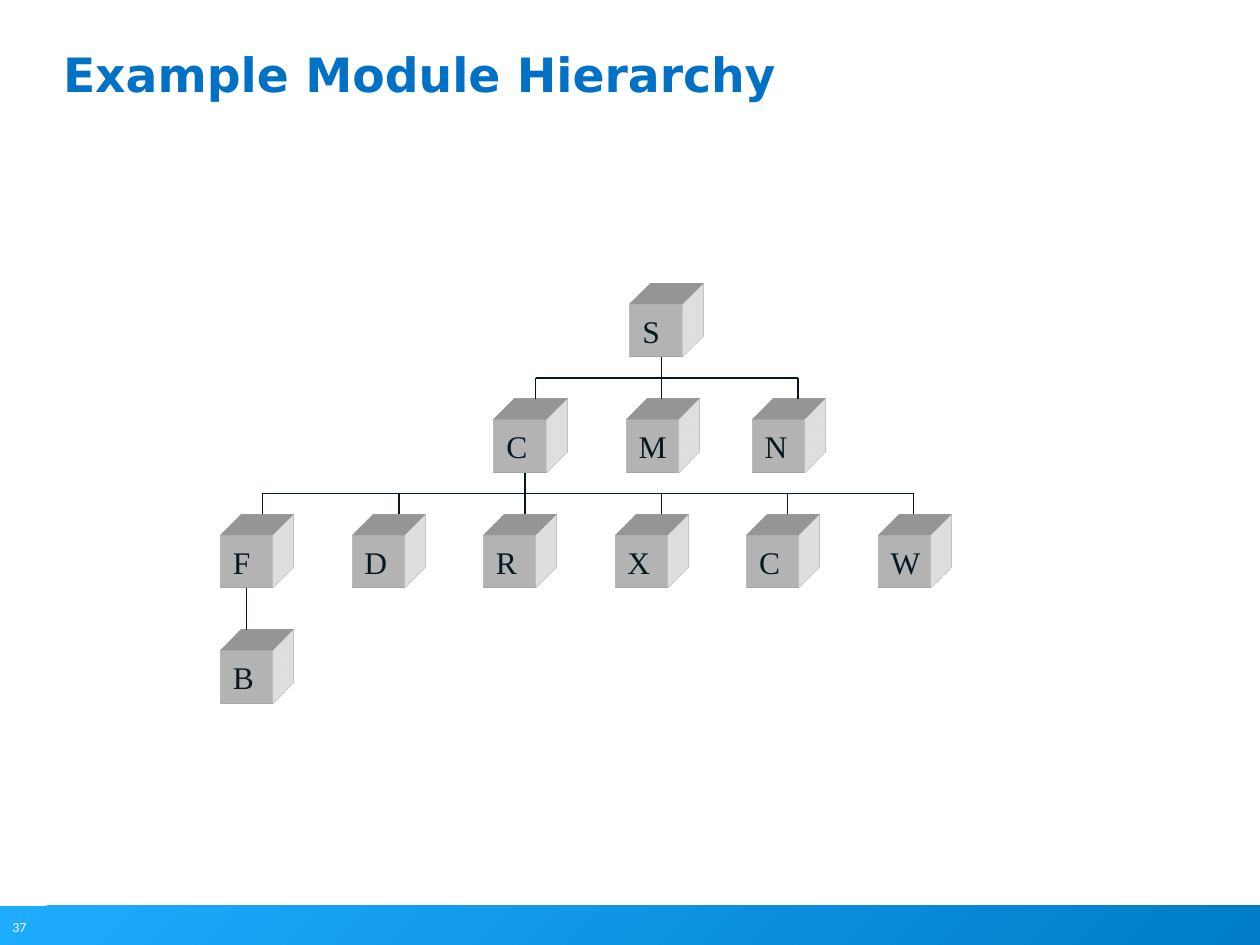
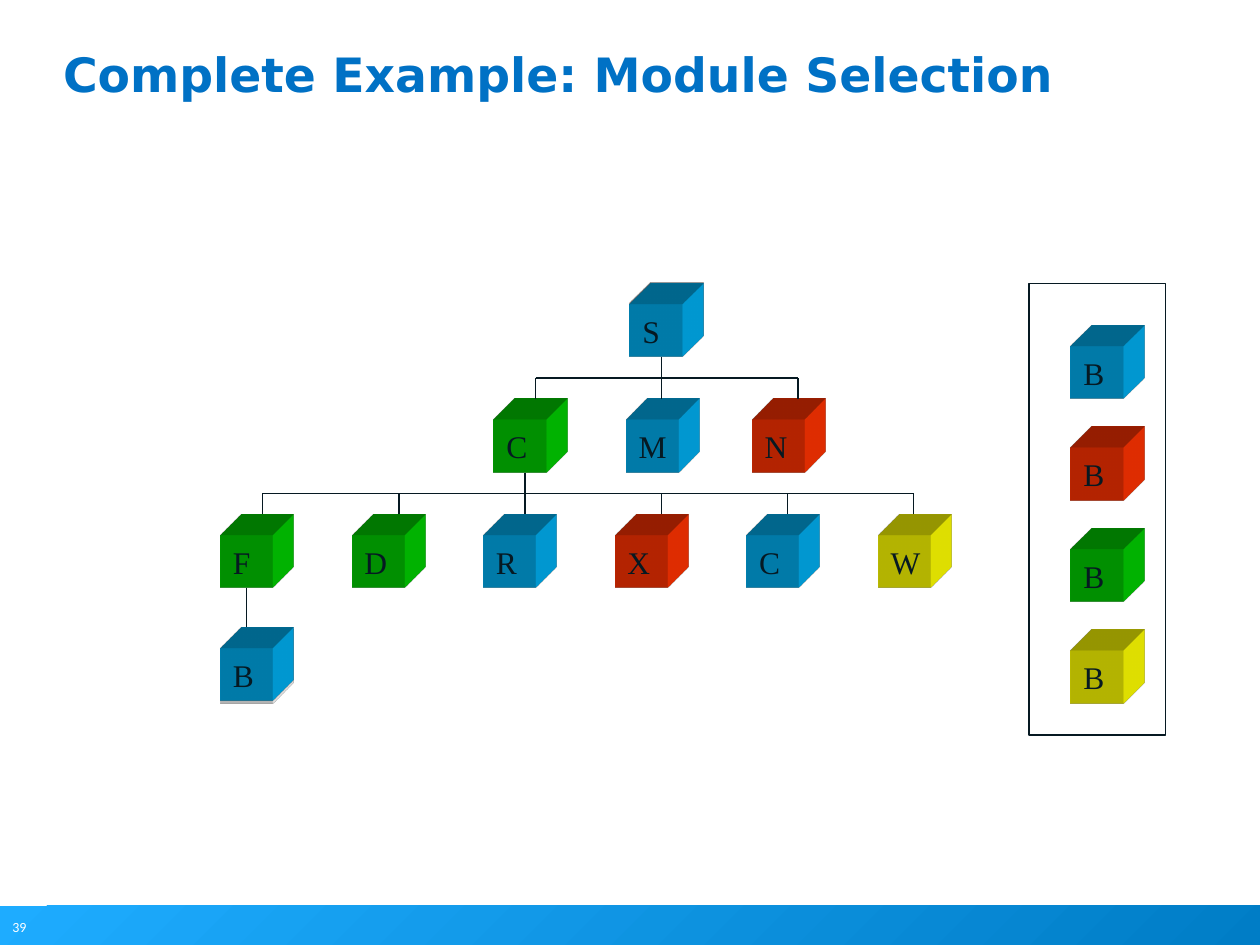
from dataclasses import dataclass
from lxml import etree
from pptx import Presentation
from pptx.dml.color import RGBColor
from pptx.enum.shapes import MSO_CONNECTOR, MSO_SHAPE
from pptx.enum.text import MSO_ANCHOR, MSO_AUTO_SIZE, PP_ALIGN
from pptx.oxml.ns import qn
from pptx.util import Inches, Pt

# Content: one text per level, one letter per module
LEVELS = ["S", "CMN", "FDRXCW", "B"]
GREY, BLUE, GREEN, RED, YELLOW = "FFFFFF", "00AEEF", "00CC00", "FF3300", "FFFF00"
SLIDES = [
    dict(title="Example Module Hierarchy", page="37",
         colors=[[GREY] * len(level) for level in LEVELS],
         leaf_lift=0, choices=[]),
    dict(title="Complete Example: Module Selection", page="39",
         colors=[[BLUE], [GREEN, BLUE, RED],
                 [GREEN, GREEN, BLUE, RED, BLUE, YELLOW], [BLUE]],
         leaf_lift=0.02, choices=[BLUE, RED, GREEN, YELLOW]),
]


@dataclass(frozen=True)
class Theme:
    title: str = "0071C5"
    ink: str = "061922"
    page: str = "FFFFFF"
    band: tuple = ("1EACFF", "007DC6")
    title_font: str = "DejaVu Sans"
    module_font: str = "Times New Roman"
    page_font: str = "Calibri"
    title_size: int = 27
    title_leading: int = 26
    module_size: int = 18
    page_size: int = 8
    line_width: float = 0.75


THEME = Theme()

# Grid: twelve cells to the inch
CELL = 1 / 12
WIDTH, HEIGHT = 10, 7.5
SIDE, DEPTH = 5 * CELL, 2 * CELL
TREE_TOP, ROW_STEP = 29 * CELL, 11 * CELL
LEVEL_LEFTS = [[5], [3.92, 4.97, 5.97],
               [1.75 + 5.22 / 5 * column for column in range(6)], [1.75]]
# Per branching: level below it, stem column, drop columns
BRANCHES = [(1, 63, [51, 76]), (2, 50, [25, 38, 63, 75, 87])]
PANEL = [98 * CELL, 27 * CELL, 13 * CELL, 43 * CELL]
CHOICE_LEFT, CHOICE_TOP, CHOICE_STEP = 8.5, 2.75, 29 / 3 * CELL


def row_top(level):
    return TREE_TOP + level * ROW_STEP


def rgb(color):
    return RGBColor.from_string(color)


def style(paragraph, font, size, color, bold=False):
    paragraph.font.name, paragraph.font.size = font, Pt(size)
    paragraph.font.color.rgb = rgb(color)
    paragraph.font.bold = bold


def paint(shape, color):
    shape.shadow.inherit = False
    shape.fill.solid()
    shape.fill.fore_color.rgb = rgb(color)
    shape.line.fill.background()


def add_box(slide, left, top, width, height):
    return slide.shapes.add_shape(
        MSO_SHAPE.RECTANGLE, *map(Inches, (left, top, width, height)))


def extrude(shape, color):
    """Give a flat shape depth towards the top right."""
    properties = shape._element.spPr
    scene = etree.SubElement(properties, qn("a:scene3d"))
    etree.SubElement(scene, qn("a:camera"), prst="legacyObliqueTopRight")
    etree.SubElement(scene, qn("a:lightRig"), rig="legacyFlat3", dir="b")
    # The oblique camera shows the depth at half its length along each axis
    solid = etree.SubElement(properties, qn("a:sp3d"),
                             extrusionH="430200", prstMaterial="legacyMatte")
    for bevel in ("a:bevelT", "a:bevelB"):
        etree.SubElement(solid, qn(bevel), w="13500", h="13500", prst="angle")
    tint = etree.SubElement(solid, qn("a:extrusionClr"))
    etree.SubElement(tint, qn("a:srgbClr"), val=color)


def add_cube(slide, letter, left, top, color):
    cube = add_box(slide, left, top, SIDE, SIDE)
    paint(cube, color)
    extrude(cube, color)
    frame = cube.text_frame
    frame.word_wrap = True
    frame.margin_right = 0
    frame.vertical_anchor = MSO_ANCHOR.MIDDLE
    if letter:
        frame.text = letter
        frame.paragraphs[0].alignment = PP_ALIGN.LEFT
        style(frame.paragraphs[0], THEME.module_font, THEME.module_size, THEME.ink)
    return cube


def add_line(slide, x1, y1, x2, y2):
    line = slide.shapes.add_connector(
        MSO_CONNECTOR.STRAIGHT, *map(Inches, (x1, y1, x2, y2)))
    line.line.color.rgb = rgb(THEME.ink)
    line.line.width = Pt(THEME.line_width)
    etree.SubElement(line._element.spPr, qn("a:effectLst"))
    return line


def add_frame(slide, title, page):
    # Title
    heading = slide.shapes.title
    heading.left, heading.top, heading.width, heading.height = map(
        Inches, (0.5, 0.45, 9, 0.97))
    frame = heading.text_frame
    frame.margin_left = frame.margin_top = frame.margin_right = frame.margin_bottom = 0
    frame.vertical_anchor = MSO_ANCHOR.TOP
    frame.auto_size = MSO_AUTO_SIZE.NONE
    frame.text = title
    paragraph = frame.paragraphs[0]
    paragraph.alignment = PP_ALIGN.LEFT
    paragraph.line_spacing = Pt(THEME.title_leading)
    style(paragraph, THEME.title_font, THEME.title_size, THEME.title, bold=True)

    # Footer band and page number
    band = add_box(slide, 0, 7.19, 10.01, 0.32)
    paint(band, THEME.band[0])
    band.fill.gradient()
    band.fill.gradient_angle = 315
    for stop, color in zip(band.fill.gradient_stops, THEME.band):
        stop.color.rgb = rgb(color)
    number = slide.shapes.add_textbox(*map(Inches, (0, 7.24, 0.31, 0.24)))
    number.text_frame.text = page
    style(number.text_frame.paragraphs[0], THEME.page_font, THEME.page_size, THEME.page)


def add_tree(slide, colors, leaf_lift):
    # Grey cubes whose edges show behind the lifted leaf and the root
    if leaf_lift:
        add_cube(slide, "", LEVEL_LEFTS[0][0], row_top(0) - 0.01, GREY)
        add_cube(slide, "", LEVEL_LEFTS[3][0], row_top(3), GREY)

    # Modules
    cubes = []
    for level, letters in enumerate(LEVELS):
        lift = leaf_lift if level == len(LEVELS) - 1 else 0
        cubes.append([
            add_cube(slide, letter, left, row_top(level) - lift, color)
            for letter, left, color in zip(letters, LEVEL_LEFTS[level], colors[level])])

    # Branches: stem, bar and drops
    for level, stem_column, drop_columns in BRANCHES:
        child_top = row_top(level) - DEPTH
        bar = child_top - DEPTH
        stem = stem_column * CELL
        drops = [column * CELL for column in drop_columns]
        add_line(slide, stem, bar - DEPTH, stem, child_top)
        add_line(slide, drops[0], bar, drops[-1], bar)
        for drop in drops:
            add_line(slide, drop, child_top, drop, bar)

    # Single line from the first module down to the leaf
    center = LEVEL_LEFTS[3][0] + SIDE / 2
    leaf_line = add_line(slide, center, row_top(2) + SIDE,
                         center, row_top(3) - leaf_lift - DEPTH)
    leaf_line.begin_connect(cubes[2][0], 2)


def add_choices(slide, choices):
    panel = add_box(slide, *PANEL)
    panel.shadow.inherit = False
    panel.fill.background()
    panel.line.color.rgb = rgb(THEME.ink)
    panel.line.width = Pt(THEME.line_width)
    for row, color in enumerate(choices):
        add_cube(slide, LEVELS[-1], CHOICE_LEFT, CHOICE_TOP + row * CHOICE_STEP, color)


def main():
    deck = Presentation()
    deck.slide_width, deck.slide_height = Inches(WIDTH), Inches(HEIGHT)
    for content in SLIDES:
        slide = deck.slides.add_slide(deck.slide_layouts[5])
        add_frame(slide, content["title"], content["page"])
        add_tree(slide, content["colors"], content["leaf_lift"])
        if content["choices"]:
            add_choices(slide, content["choices"])
    deck.save("out.pptx")


if __name__ == "__main__":
    main()
